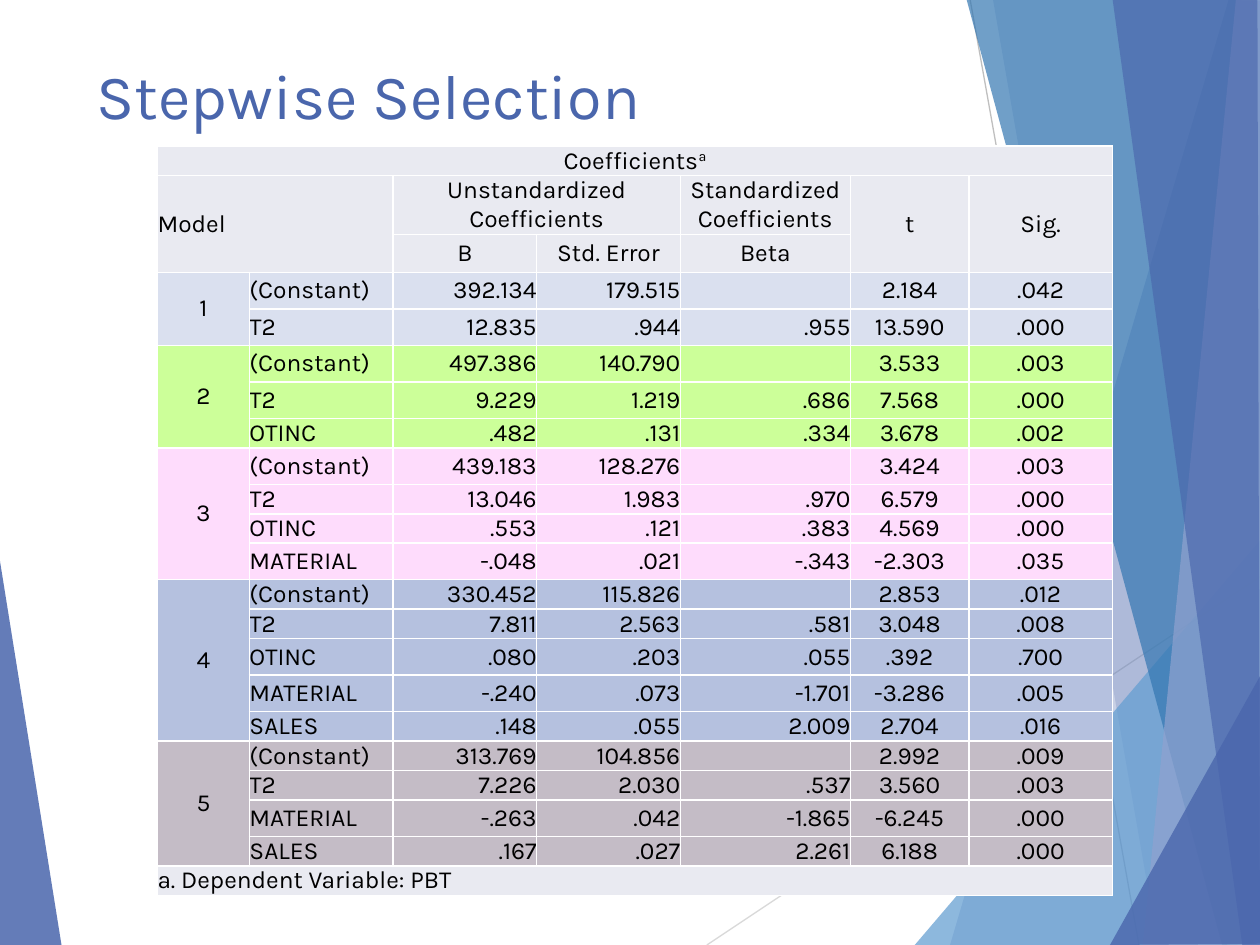
from collections import namedtuple
from dataclasses import dataclass

from lxml import etree
from pptx import Presentation
from pptx import util as u
from pptx.dml.color import RGBColor
from pptx.enum import shapes, text
from pptx.oxml.ns import qn

Box = namedtuple("Box", "left top width height")


@dataclass(frozen=True)
class Theme:
    font: str = "Karla"
    title_size: int = 36
    table_size: int = 14
    ink: str = "000000"
    blue: str = "4A66AC"
    sky: str = "629DD1"
    ocean: str = "3477B2"
    lilac: str = "90A2CF"
    header: str = "E9EAF1"
    border: str = "FFFFFF"
    models: tuple = ("DAE0EF", "CCFF99", "FEDCFC", "B5C1DF", "C4BCC6")


THEME = Theme()
LEFT, CENTER, RIGHT = text.PP_ALIGN.LEFT, text.PP_ALIGN.CENTER, text.PP_ALIGN.RIGHT

# Inches from the slide's top left: colour, opacity in percent, corners
LEFT_FACET = (THEME.blue, 85, [(-0.01, 4.39), (0.49, 7.51), (-0.01, 7.5)])
RIGHT_FACETS = [
    (THEME.blue, 30, [(9.75, 0), (7.54, 7.5), (10.02, 7.51), (10.01, 0.01)]),
    (THEME.blue, 20, [(7.88, -0.01), (9.19, 7.5), (10.01, 7.5), (10.01, -0.01)]),
    (THEME.sky, 72, [(7.26, 7.5), (10, 4.29), (10.01, 7.5)]),
    (THEME.ocean, 70, [(7.67, -0.01), (9.7, 7.5), (10.01, 7.49), (10.01, -0.01)]),
    (THEME.lilac, 70, [(9.81, -0.01), (9.07, 7.5), (10.01, 7.5), (10, -0.01)]),
    (THEME.blue, 65, [(8.83, -0.01), (9.86, 7.5), (10, 7.5), (9.98, -0.01)]),
    (THEME.blue, 80, [(8.81, 7.5), (10.01, 5.35), (10.01, 7.49)]),
]
HAIRLINES = [("D9D9D9", (5.61, 7.5), (10.01, 4.57)), ("BFBFBF", (7.7, 0), (9.04, 7.5))]

COLUMN_WIDTHS = [0.73, 1.14, 1.14, 1.14, 1.35, 0.94, 1.14]
COLUMN_ALIGNMENTS = [CENTER, LEFT, RIGHT, RIGHT, RIGHT, CENTER, CENTER]
TALL, TIGHT = 0.29, 0.19
HEADER_HEIGHTS = [TIGHT, 0.35, 0.3]
# Row, column, rows spanned, columns spanned, wording, alignment
HEADER_CELLS = [
    (0, 0, 1, 7, "Coefficients", CENTER),
    (1, 0, 2, 2, "Model", LEFT),
    (1, 2, 1, 2, "Unstandardized Coefficients", CENTER),
    (1, 4, 1, 1, "Standardized Coefficients", CENTER),
    (1, 5, 2, 1, "t", CENTER),
    (1, 6, 2, 1, "Sig.", CENTER),
    (2, 2, 1, 1, "B", CENTER),
    (2, 3, 1, 1, "Std. Error", CENTER),
    (2, 4, 1, 1, "Beta", CENTER),
]
FOOTNOTE = "a. Dependent Variable: PBT"
# One list per model: row height, term, B, std. error, beta, t, sig.
MODELS = [
    [(TALL, "(Constant)", "392.134", "179.515", "", "2.184", ".042"),
     (TALL, "T2", "12.835", ".944", ".955", "13.590", ".000")],
    [(TALL, "(Constant)", "497.386", "140.790", "", "3.533", ".003"),
     (TALL, "T2", "9.229", "1.219", ".686", "7.568", ".000"),
     (TIGHT, "OTINC", ".482", ".131", ".334", "3.678", ".002")],
    [(TALL, "(Constant)", "439.183", "128.276", "", "3.424", ".003"),
     (TIGHT, "T2", "13.046", "1.983", ".970", "6.579", ".000"),
     (TIGHT, "OTINC", ".553", ".121", ".383", "4.569", ".000"),
     (TALL, "MATERIAL", "-.048", ".021", "-.343", "-2.303", ".035")],
    [(TIGHT, "(Constant)", "330.452", "115.826", "", "2.853", ".012"),
     (TIGHT, "T2", "7.811", "2.563", ".581", "3.048", ".008"),
     (TALL, "OTINC", ".080", ".203", ".055", ".392", ".700"),
     (TALL, "MATERIAL", "-.240", ".073", "-1.701", "-3.286", ".005"),
     (TIGHT, "SALES", ".148", ".055", "2.009", "2.704", ".016")],
    [(TIGHT, "(Constant)", "313.769", "104.856", "", "2.992", ".009"),
     (TIGHT, "T2", "7.226", "2.030", ".537", "3.560", ".003"),
     (TALL, "MATERIAL", "-.263", ".042", "-1.865", "-6.245", ".000"),
     (TIGHT, "SALES", ".167", ".027", "2.261", "6.188", ".000")],
]


def set_attributes(target, values):
    for name, value in values.items():
        setattr(target, name, value)


def add_run(paragraph, wording, size, color):
    run = paragraph.add_run()
    run.text = wording
    set_attributes(run.font, {"name": THEME.font, "size": u.Pt(size)})
    run.font.color.rgb = RGBColor.from_string(color)
    return run


def add_facet(slide, box, color, opacity, corners):
    points = [(box.left + u.Inches(x), box.top + u.Inches(y)) for x, y in corners]
    builder = slide.shapes.build_freeform(*points[0])
    builder.add_line_segments(points[1:], close=True)
    shape = builder.convert_to_shape()
    shape.shadow.inherit = False
    shape.line.fill.background()
    shape.fill.solid()
    shape.fill.fore_color.rgb = RGBColor.from_string(color)
    color_element = next(shape.element.spPr.iter(qn("a:srgbClr")))
    etree.SubElement(color_element, qn("a:alpha"), val=str(opacity * 1000))


def add_hairline(slide, box, color, start, end):
    ends = [edge + u.Inches(value) for point in (start, end)
            for edge, value in zip((box.left, box.top), point)]
    connector = slide.shapes.add_connector(shapes.MSO_CONNECTOR.STRAIGHT, *ends)
    connector.line.width = u.Pt(0.75)
    connector.line.color.rgb = RGBColor.from_string(color)
    etree.SubElement(connector.element.spPr, qn("a:effectLst"))


def add_backdrop(slide, box):
    add_facet(slide, box, *LEFT_FACET)
    for hairline in HAIRLINES:
        add_hairline(slide, box, *hairline)
    for facet in RIGHT_FACETS:
        add_facet(slide, box, *facet)


def add_title(slide, box, wording):
    frame = slide.shapes.add_textbox(*box).text_frame
    set_attributes(frame, {"word_wrap": True, "vertical_anchor": text.MSO_ANCHOR.MIDDLE})
    add_run(frame.paragraphs[0], wording, THEME.title_size, THEME.blue)


def style_cell(cell, fill):
    """Give a cell white borders, a plain fill and no margins."""
    properties = cell._tc.get_or_add_tcPr()
    for side in ("a:lnL", "a:lnR", "a:lnT", "a:lnB"):
        line = etree.SubElement(properties, qn(side), w=str(u.Pt(1)))
        solid = etree.SubElement(line, qn("a:solidFill"))
        etree.SubElement(solid, qn("a:srgbClr"), val=THEME.border)
    cell.fill.solid()
    cell.fill.fore_color.rgb = RGBColor.from_string(fill)
    margins = dict.fromkeys(
        ("margin_left", "margin_right", "margin_top", "margin_bottom"), u.Inches(0))
    set_attributes(cell, {**margins, "vertical_anchor": text.MSO_ANCHOR.MIDDLE})


def write_cell(cell, wording, alignment):
    paragraph = cell.text_frame.paragraphs[0]
    paragraph.alignment = alignment
    if wording:
        add_run(paragraph, wording, THEME.table_size, THEME.ink)
    else:  # keeps an empty cell from making its row taller
        etree.SubElement(paragraph._p, qn("a:endParaRPr"), sz=str(THEME.table_size * 100))


def add_coefficients_table(slide, box):
    body = [row for model in MODELS for row in model]
    heights = HEADER_HEIGHTS + [row[0] for row in body] + [TIGHT]
    fills = [THEME.header] * len(HEADER_HEIGHTS)
    for fill, model in zip(THEME.models, MODELS):
        fills += [fill] * len(model)
    fills.append(THEME.header)

    table = slide.shapes.add_table(len(heights), len(COLUMN_WIDTHS), *box).table
    set_attributes(table, {"first_row": False, "horz_banding": False})
    for column, width in zip(table.columns, COLUMN_WIDTHS):
        column.width = u.Inches(width)
    for row, height, fill in zip(table.rows, heights, fills):
        row.height = u.Inches(height)
        for cell in row.cells:
            style_cell(cell, fill)

    first = len(HEADER_HEIGHTS)
    footer = len(heights) - 1
    labels = HEADER_CELLS + [(footer, 0, 1, len(COLUMN_WIDTHS), FOOTNOTE, LEFT)]
    for row, values in enumerate(body, first):
        for column, value in enumerate(values[1:], 1):
            write_cell(table.cell(row, column), value, COLUMN_ALIGNMENTS[column])
    for number, model in enumerate(MODELS, 1):
        labels.append((first, 0, len(model), 1, str(number), CENTER))
        first += len(model)
    for row, column, rows, columns, wording, alignment in labels:
        cell = table.cell(row, column)
        if rows * columns > 1:
            cell.merge(table.cell(row + rows - 1, column + columns - 1))
        write_cell(cell, wording, alignment)

    heading = table.cell(0, 0).text_frame.paragraphs[0]
    mark = add_run(heading, "a", THEME.table_size, THEME.ink)
    mark._r.get_or_add_rPr().set("baseline", "30000")


def main():
    presentation = Presentation()
    set_attributes(presentation, {"slide_width": u.Inches(10), "slide_height": u.Inches(7.5)})
    slide = presentation.slides.add_slide(presentation.slide_layouts[6])
    add_backdrop(slide, Box(0, 0, presentation.slide_width, presentation.slide_height))
    add_title(slide, Box(*map(u.Inches, (0.67, 0.33, 6.94, 0.83))), "Stepwise Selection")
    add_coefficients_table(slide, Box(*map(u.Inches, (1.25, 1.16, 7.58, 5.99))))
    presentation.save("out.pptx")


if __name__ == "__main__":
    main()
